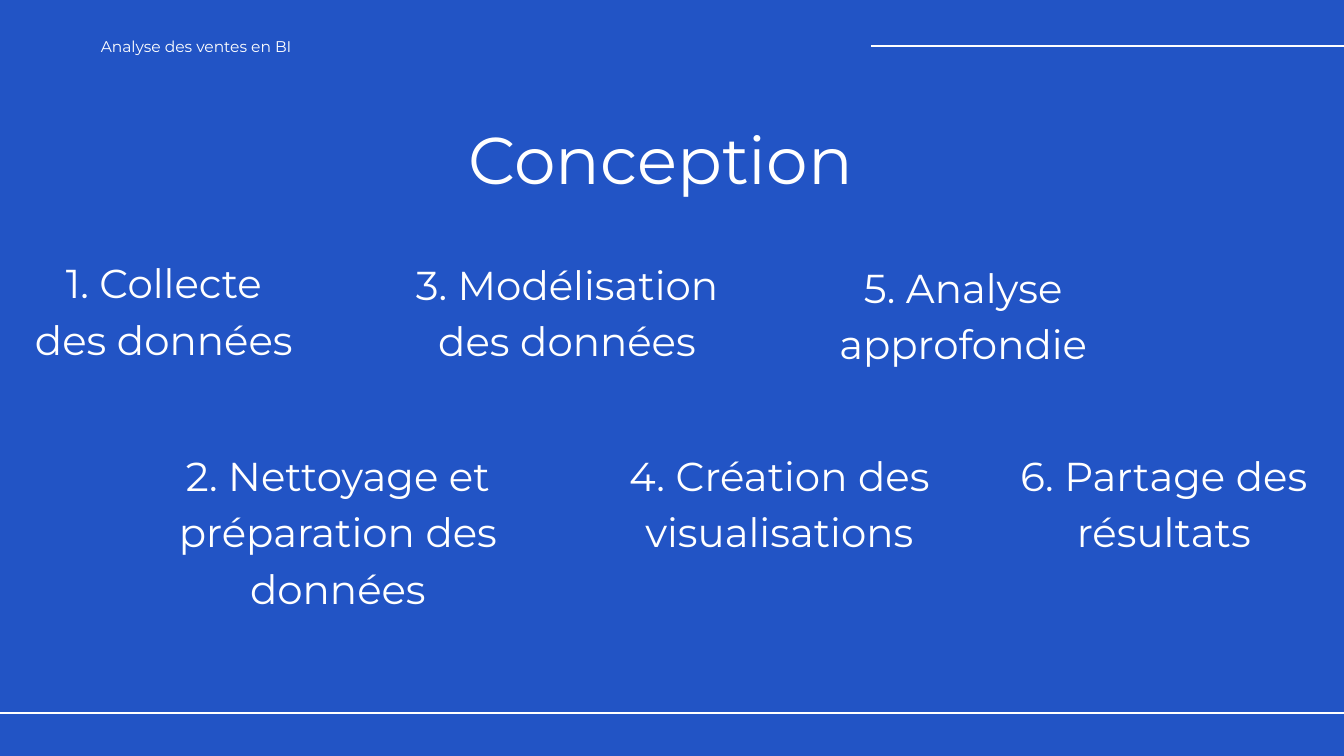
from lxml import etree
from pptx import Presentation
from pptx.dml.color import RGBColor
from pptx.enum.shapes import MSO_CONNECTOR
from pptx.enum.text import MSO_AUTO_SIZE, PP_ALIGN
from pptx.oxml.ns import qn
from pptx.util import Pt

BLUE = RGBColor(0x22, 0x54, 0xC5)
WHITE = RGBColor(0xFF, 0xFF, 0xFF)
FONT = "Montserrat"
LEFT, CENTER = PP_ALIGN.LEFT, PP_ALIGN.CENTER
STRAIGHT = MSO_CONNECTOR.STRAIGHT
FIT_SHAPE = MSO_AUTO_SIZE.SHAPE_TO_FIT_TEXT
SLIDE_WIDTH, SLIDE_HEIGHT = 1440, 810
STEP_LEADING = 60.5

# Text, left, top, width and line count of each step
STEPS = [
    ("1. Collecte des données", 34.5, 268.5, 282, 2),
    ("2. Nettoyage et préparation des données", 164, 474.5, 396, 3),
    ("3. Modélisation des données", 433.5, 270, 348, 2),
    ("4. Création des visualisations", 661, 474.5, 348, 2),
    ("5. Analyse approfondie", 877, 273, 310, 2),
    ("6. Partage des résultats", 1092, 474.5, 310, 2),
]


def add_text(slide, text, box, *, size, leading, align=LEFT):
    textbox = slide.shapes.add_textbox(*(Pt(length) for length in box))
    frame = textbox.text_frame
    frame.margin_left = frame.margin_top = frame.margin_right = frame.margin_bottom = 0
    frame.word_wrap = True
    frame.auto_size = FIT_SHAPE
    paragraph = frame.paragraphs[0]
    paragraph.alignment = align
    paragraph.line_spacing = Pt(leading)
    run = paragraph.add_run()
    run.text = text
    run.font.name = FONT
    run.font.size = Pt(size)
    run.font.color.rgb = WHITE


def add_rule(slide, left, right, y, weight):
    rule = slide.shapes.add_connector(STRAIGHT, Pt(left), Pt(y), Pt(right), Pt(y))
    rule.line.color.rgb = WHITE
    rule.line.width = Pt(weight)
    etree.SubElement(rule._element.spPr, qn("a:effectLst"))


def add_header(slide, left, top, width, height):
    add_text(slide, "Analyse des ventes en BI", (left, top, 258, height),
             size=16.6, leading=23.2)
    add_rule(slide, 933, left + width, 49.7, 2.25)


def add_steps(slide):
    for text, left, top, width, lines in STEPS:
        add_text(slide, text, (left, top, width, lines * STEP_LEADING - 6),
                 size=43.2, leading=STEP_LEADING, align=CENTER)


def main():
    presentation = Presentation()
    presentation.slide_width = Pt(SLIDE_WIDTH)
    presentation.slide_height = Pt(SLIDE_HEIGHT)
    slide = presentation.slides.add_slide(presentation.slide_layouts[6])
    slide.background.fill.solid()
    slide.background.fill.fore_color.rgb = BLUE

    add_header(slide, 108, 36, SLIDE_WIDTH - 108, 23)
    add_text(slide, "Conception", (502, 112.3, 435.5, 96), size=70.8, leading=99.1)
    add_steps(slide)
    add_rule(slide, 0, SLIDE_WIDTH + 9, 764, 3)
    presentation.save("out.pptx")


if __name__ == "__main__":
    main()
